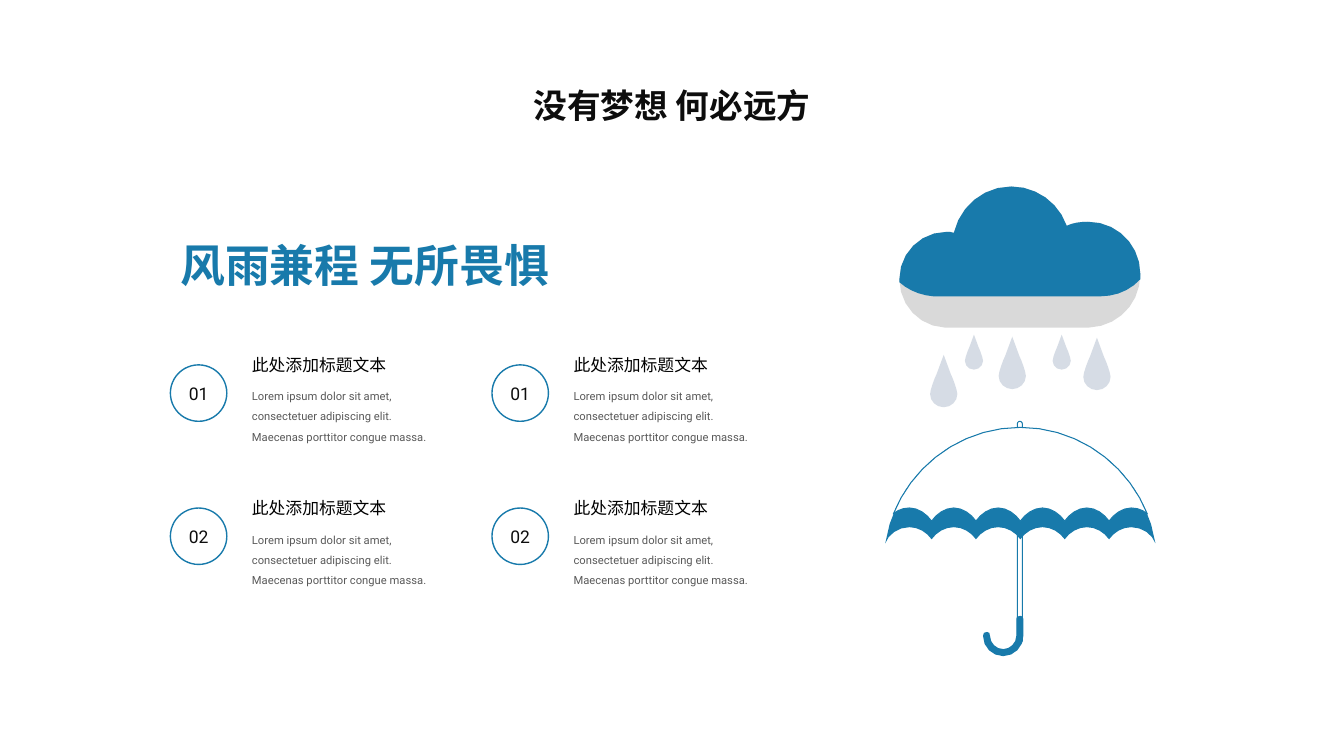
import math
import pptx
import pptx.dml.color
import pptx.enum.shapes
import pptx.enum.text
import pptx.oxml
import pptx.oxml.ns
import pptx.util
from dataclasses import dataclass

PX = 9144  # 100 px to the inch
ALIGN = pptx.enum.text.PP_ALIGN
ANCHOR = pptx.enum.text.MSO_ANCHOR
KIND = pptx.enum.shapes.MSO_SHAPE


@dataclass(frozen=True)
class Theme:
    blue: str = "187AAB"
    ink: str = "0D0D0D"
    black: str = "000000"
    text: str = "595959"
    grey: str = "D9D9D9"
    rain: str = "D6DCE5"
    white: str = "FFFFFF"
    han: str = "Noto Sans CJK JP"
    head: str = "Calibri"
    body: str = "Roboto"
    title: float = 24
    motto: float = 32
    item: float = 12
    badge: float = 12.5
    small: float = 8


def color(code):
    return pptx.dml.color.RGBColor.from_string(code)


def write(shape, text, size, font, ink, bold=False, align=ALIGN.LEFT,
          anchor=ANCHOR.TOP, space=1.0, inset=None):
    frame = shape.text_frame
    frame.word_wrap = True
    frame.auto_size = pptx.enum.text.MSO_AUTO_SIZE.NONE
    frame.vertical_anchor = anchor
    if inset is not None:
        frame.margin_left = frame.margin_right = inset
        frame.margin_top = frame.margin_bottom = inset
    para = frame.paragraphs[0]
    para.alignment = align
    para.line_spacing = space
    run = para.add_run()
    run.text = text
    run.font.size = pptx.util.Pt(size)
    run.font.name = font
    run.font.bold = bold
    run.font.color.rgb = color(ink)
    asian = pptx.oxml.parse_xml(
        f'<a:ea {pptx.oxml.ns.nsdecls("a")} typeface="{font}"/>')
    run.font.fill._xPr.find(pptx.oxml.ns.qn("a:latin")).addnext(asian)


def mirror(half):
    """Close a left half, whose ends lie on the axis, with its reflection."""
    axis = half[0][0]
    return half + [(2 * axis - x, y) for x, y in reversed(half[:-1])]


def trace(knots):
    """Sample a chain of cubic curves, with more dots on longer ones."""
    dots = [knots[0]]
    for i in range(0, len(knots) - 1, 3):
        quad = knots[i:i + 4]
        span = math.dist(quad[0], quad[3])
        flat = quad[0] == quad[1] and quad[2] == quad[3]
        steps = 1 if flat else math.ceil(0.7 * math.sqrt(span))
        for n in range(1, steps + 1):
            t = n / steps
            u = 1 - t
            mix = (u ** 3, 3 * u * u * t, 3 * u * t * t, t ** 3)
            dots.append(tuple(sum(m * p[k] for m, p in zip(mix, quad))
                              for k in (0, 1)))
    return dots


class Deck:
    def __init__(self, theme):
        self.theme = theme
        self.file = pptx.Presentation()
        self.file.slide_width = 1333 * PX
        self.file.slide_height = 750 * PX
        self.slide = self.file.slides.add_slide(self.file.slide_layouts[5])

    def style(self, shape, fill=None, line=None, width=0.75):
        shape.shadow.inherit = False
        if fill:
            shape.fill.solid()
            shape.fill.fore_color.rgb = color(fill)
        else:
            shape.fill.background()
        if line:
            shape.line.color.rgb = color(line)
            shape.line.width = pptx.util.Pt(width)
        else:
            shape.line.fill.background()
        return shape

    def title(self, box, words, **form):
        hold = self.slide.shapes.title
        hold.left, hold.top, hold.width, hold.height = (v * PX for v in box)
        write(hold, words, **form)

    def text(self, box, words, **form):
        shape = self.slide.shapes.add_textbox(*(v * PX for v in box))
        write(shape, words, **form)

    def shape(self, kind, box, **look):
        shape = self.slide.shapes.add_shape(kind, *(v * PX for v in box))
        return self.style(shape, **look)

    def curve(self, knots, **look):
        dots = [(round(x * PX), round(y * PX)) for x, y in trace(knots)]
        form = self.slide.shapes.build_freeform(*dots[0], scale=1.0)
        form.add_line_segments(dots[1:], close=True)
        self.style(form.convert_to_shape(), **look)

    def drop(self, mid, top, width):
        half = [(0, 0), (0, 0), (-7, 19), (-7, 19), (-9, 23), (-13.5, 35),
                (-13.5, 39), (-13.5, 46), (-7.5, 52), (0, 52)]
        size = width / 27
        knots = [(mid + x * size, top + y * size) for x, y in half]
        self.curve(mirror(knots), fill=self.theme.rain)

    def canopy(self, side, hem, dip, **look):
        """Draw a dome with a scalloped hem; side leads from apex to hem."""
        half = [(1012, 424)] + side + [
            (902, hem), (911, hem), (919, dip - 7), (924, dip)]
        for x in (924, 968):
            half += [(x + 5, dip - 7), (x + 13, hem), (x + 22, hem),
                     (x + 31, hem), (x + 39, dip - 7), (x + 44, dip)]
        self.curve(mirror(half), **look)

    def item(self, left, top, mark):
        t = self.theme
        badge = self.shape(KIND.OVAL, (left, top, 56, 56),
                           line=t.blue, width=1)
        write(badge, mark, size=t.badge, font=t.body, ink=t.ink,
              align=ALIGN.CENTER, anchor=ANCHOR.MIDDLE, inset=0)
        self.text((left + 71, top - 15, 155, 30), "此处添加标题文本",
                  size=t.item, font=t.head, ink=t.black)
        self.text((left + 71, top + 13, 205, 69),
                  "Lorem ipsum dolor sit amet, consectetuer adipiscing elit. "
                  "Maecenas porttitor congue massa.",
                  size=t.small, font=t.body, ink=t.text, space=1.5)


def umbrella(deck):
    blue = deck.theme.blue
    pole = deck.shape(KIND.ROUNDED_RECTANGLE, (1009, 418, 5, 220), line=blue)
    pole.adjustments[0] = 0.5
    deck.canopy([(944, 424), (888, 474), (878, 539), (881, 530), (891, 523)],
                523, 535, fill=blue)
    deck.canopy([(955, 424), (906, 460), (886, 510), (890, 506), (896, 504)],
                504, 517, fill=deck.theme.white, line=blue)
    deck.curve([(975, 631), (975, 642), (984, 651), (995, 651),
                (1006, 651), (1015, 642), (1015, 631),
                (1015, 631), (1015, 614), (1015, 614),
                (1015, 612), (1014, 611), (1012, 611),
                (1009, 611), (1008, 612), (1008, 614),
                (1008, 614), (1008, 631), (1008, 631),
                (1008, 638), (1002, 644), (995, 644),
                (988, 644), (982, 638), (982, 631),
                (982, 628), (981, 627), (979, 627),
                (976, 627), (975, 628), (975, 631)], fill=blue)


def cloud(deck):
    crown = [(892, 277), (892, 251), (913, 230), (939, 230),
             (941, 230), (944, 230), (946, 231),
             (952, 205), (975, 185), (1003, 185),
             (1028, 185), (1050, 201), (1058, 224),
             (1064, 221), (1072, 220), (1079, 220),
             (1108, 220), (1131, 243), (1131, 272)]
    base = [(1131, 301), (1109, 324), (1080, 325),
            (1080, 325), (937, 325), (937, 325),
            (912, 324), (892, 303), (892, 277)]
    cover = [(1131, 274), (1131, 276), (1131, 277),
             (1121, 288), (1107, 294), (1091, 294),
             (1091, 294), (926, 294), (926, 294),
             (913, 293), (901, 288), (892, 280),
             (892, 279), (892, 278), (892, 277)]
    deck.curve(crown + base, fill=deck.theme.grey)
    deck.curve(crown + cover, fill=deck.theme.blue)


def main():
    t = Theme()
    deck = Deck(t)
    deck.title((517, 79, 299, 50), "没有梦想 何必远方", size=t.title,
               font=t.han, ink=t.ink, bold=True, align=ALIGN.CENTER,
               anchor=ANCHOR.MIDDLE)
    umbrella(deck)
    cloud(deck)
    for mid, top, width in ((936, 352, 27), (1004, 334, 27), (1088, 335, 27),
                            (1053, 332, 18), (966, 332, 18)):
        deck.drop(mid, top, width)
    deck.text((169, 231, 393, 64), "风雨兼程 无所畏惧", size=t.motto,
              font=t.han, ink=t.blue, bold=True, anchor=ANCHOR.MIDDLE)
    for left in (169, 488):
        for row, mark in enumerate(("01", "02")):
            deck.item(left, 362 + 142 * row, mark)
    deck.file.save("out.pptx")


if __name__ == "__main__":
    main()
